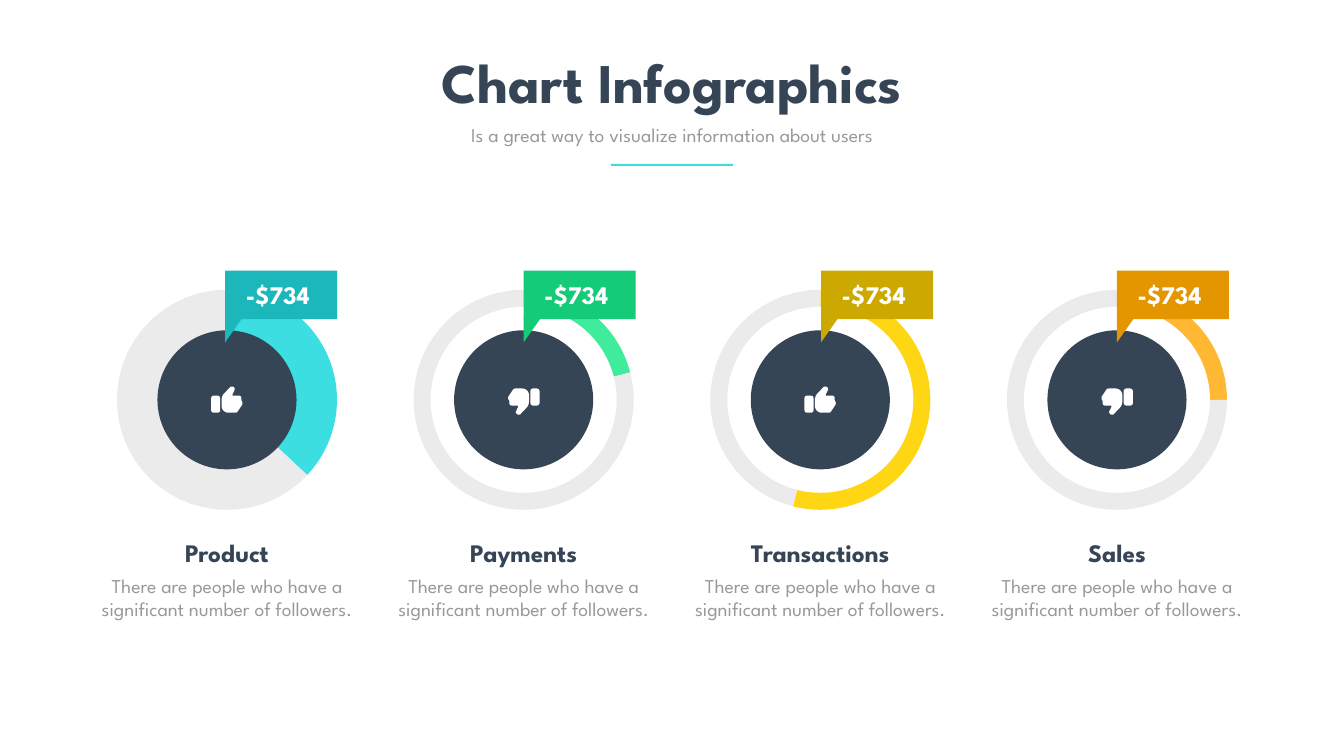
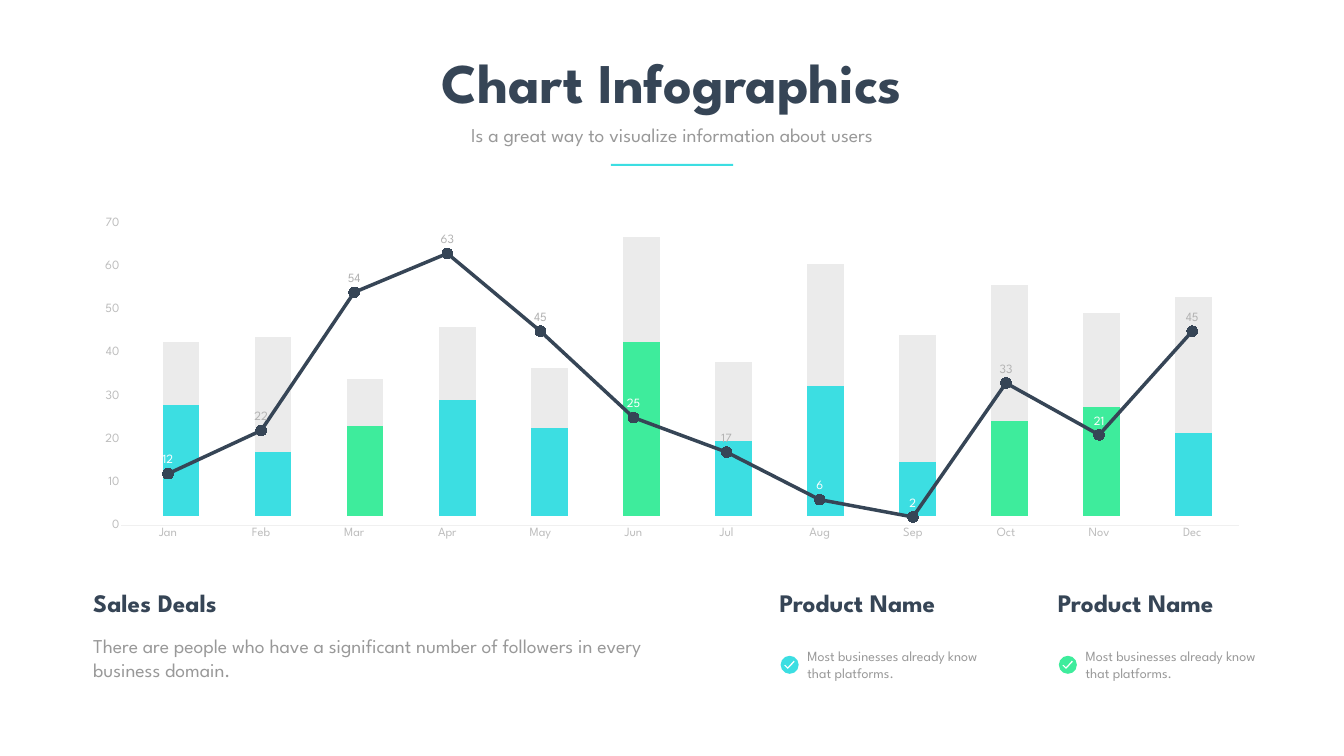
from dataclasses import dataclass

from lxml import etree
from pptx import Presentation
from pptx.chart.data import CategoryChartData
from pptx.dml.color import RGBColor
from pptx.enum.chart import XL_CHART_TYPE, XL_LABEL_POSITION, XL_MARKER_STYLE, XL_TICK_MARK
from pptx.enum.shapes import MSO_SHAPE
from pptx.enum.text import MSO_ANCHOR, MSO_AUTO_SIZE, PP_ALIGN
from pptx.oxml import parse_xml
from pptx.oxml.ns import nsdecls, qn
from pptx.util import Cm, Pt

PIE, LINE, STACK = XL_CHART_TYPE.PIE, XL_CHART_TYPE.LINE_MARKERS, XL_CHART_TYPE.COLUMN_STACKED
ABOVE, DOT, NO_TICK = XL_LABEL_POSITION.ABOVE, XL_MARKER_STYLE.CIRCLE, XL_TICK_MARK.NONE
OVAL, RECT = MSO_SHAPE.OVAL, MSO_SHAPE.RECTANGLE
ROUND, WEDGE = MSO_SHAPE.ROUNDED_RECTANGLE, MSO_SHAPE.RIGHT_TRIANGLE
TOP, MIDDLE = MSO_ANCHOR.TOP, MSO_ANCHOR.MIDDLE
LEFT, CENTER = PP_ALIGN.LEFT, PP_ALIGN.CENTER
NO_FIT = MSO_AUTO_SIZE.NONE


@dataclass(frozen=True)
class Theme:
    font: str = "League Spartan"
    pie_font: str = "Calibri"
    navy: str = "364556"
    gray: str = "999999"
    axis: str = "BDBDBD"
    label: str = "B2B2B2"
    grid: str = "F0F0F0"
    track: str = "EBEBEB"
    white: str = "FFFFFF"
    cyan: str = "3CDEE2"
    green: str = "3EEC9C"
    gold: str = "FED613"
    amber: str = "FEB833"
    deep_cyan: str = "1CB7BB"
    deep_green: str = "14CB77"
    deep_gold: str = "CCA901"
    deep_amber: str = "E49601"
    title: int = 80
    head: int = 36
    body: int = 28
    note: int = 20
    tick: int = 18
    tiny: int = 10


THEME = Theme()
HAND = [
    (0.75, 0.08), (0.72, 0.03), (0.72, -0.08),
    (0.72, -0.15, 0.67, -0.2, 0.6, -0.2), (0.29, -0.2), (0.27, -0.25), (0.37, -0.46),
    (0.39, -0.48, 0.39, -0.5, 0.39, -0.53), (0.39, -0.61, 0.32, -0.66, 0.24, -0.66),
    (0.19, -0.66), (-0.17, -0.28), (-0.24, -0.2, -0.27, -0.08, -0.27, 0.03),
    (-0.27, 0.33), (-0.27, 0.51, -0.11, 0.66, 0.06, 0.66), (0.42, 0.66),
    (0.47, 0.66, 0.52, 0.64, 0.55, 0.58), (0.75, 0.28),
    (0.79, 0.23, 0.79, 0.13, 0.75, 0.08),
]
TICK = [(0.36, 0.58), (0.23, 0.46), (0.18, 0.48), (0.36, 0.66), (0.71, 0.3), (0.66, 0.25)]


def rgb(code):
    return RGBColor.from_string(code)


def cms(*sizes):
    return [Cm(size) for size in sizes]


def flatten(parts, steps=6):
    points = []
    for part in parts:
        if len(part) == 2:
            points.append(part)
            continue
        curve = [points[-1], part[:2], part[2:4], part[4:]]
        for step in range(1, steps + 1):
            t = step / steps
            weights = ((1 - t) ** 3, 3 * t * (1 - t) ** 2, 3 * t * t * (1 - t), t ** 3)
            points.append(tuple(sum(w * p[k] for w, p in zip(weights, curve)) for k in (0, 1)))
    return points


class Deck:
    def __init__(self, theme):
        self.theme = theme
        self.show = Presentation()
        self.show.slide_width, self.show.slide_height = cms(67.73, 38.1)
        self.slide = None

    def style(self, font, size, color, bold=False, name=None):
        font.name = name or self.theme.font
        font.size = Pt(size)
        font.bold = bold
        font.color.rgb = rgb(color)

    def letter(self, shape, text, size, color, bold=False, align=LEFT, anchor=TOP):
        frame = shape.text_frame
        frame.text = text
        frame.word_wrap = True
        frame.auto_size = NO_FIT
        frame.vertical_anchor = anchor
        for para in frame.paragraphs:
            para.alignment = align
            para.space_before = Pt(0)
            for run in para.runs:
                self.style(run.font, size, color, bold)

    def begin(self, title, lead):
        t = self.theme
        self.slide = self.show.slides.add_slide(self.show.slide_layouts[0])
        heads = (
            (title, (17.48, 2.29, 32.79, 3.68), t.title, t.navy, True),
            (lead, (21.72, 6.05, 24.28, 1.45), t.body, t.gray, False),
        )
        for holder, (text, box, size, color, bold) in zip(self.slide.placeholders, heads):
            holder.left, holder.top, holder.width, holder.height = cms(*box)
            self.letter(holder, text, size, color, bold, CENTER)
        self.shape(RECT, (30.78, 8.26, 6.17, 0.1), t.cyan)

    def text(self, box, text, size, color, bold=False, align=LEFT):
        shape = self.slide.shapes.add_textbox(*cms(*box))
        self.letter(shape, text, size, color, bold, align)

    def paint(self, shape, color):
        shape.shadow.inherit = False
        shape.fill.solid()
        shape.fill.fore_color.rgb = rgb(color)
        shape.line.fill.background()
        return shape

    def shape(self, kind, box, color):
        return self.paint(self.slide.shapes.add_shape(kind, *cms(*box)), color)

    def disc(self, x, y, size, color):
        self.shape(OVAL, (x - size / 2, y - size / 2, size, size), color)

    def outline(self, x, y, points, color):
        spots = [cms(x + dx, y + dy) for dx, dy in points]
        form = self.slide.shapes.build_freeform(*spots[0])
        form.add_line_segments(spots[1:], close=True)
        self.paint(form.convert_to_shape(), color)

    def thumb(self, x, y, up):
        sign = 1 if up else -1
        white = self.theme.white
        self.outline(x, y, [(sign * dx, sign * dy) for dx, dy in flatten(HAND)], white)
        cuff = self.shape(ROUND, (x - sign * 0.57 - 0.23, y + sign * 0.23 - 0.43, 0.46, 0.86), white)
        cuff.adjustments[0] = 0.28

    def tag(self, x, text, color):
        flag = self.shape(RECT, (x, 13.64, 5.64, 2.44), color)
        self.letter(flag, text, self.theme.head, self.theme.white, True, CENTER, MIDDLE)
        self.shape(WEDGE, (x - 0.18, 16.21, 1.22, 0.86), color).rotation = 90

    def chart(self, kind, box, cats, rows, size, name=None):
        data = CategoryChartData()
        data.categories = cats
        for number, row in enumerate(rows, 1):
            data.add_series(f"Series {number}", row)
        chart = self.slide.shapes.add_chart(kind, *cms(*box), data).chart
        chart.has_title = False
        chart.has_legend = False
        self.style(chart.font, size, self.theme.gray, name=name)
        clear = f"<c:spPr {nsdecls('c', 'a')}><a:noFill/><a:ln><a:noFill/></a:ln></c:spPr>"
        chart.element.find(qn("c:chart")).addnext(parse_xml(clear))
        chart.element.xpath(".//c:plotArea")[0].append(parse_xml(clear))
        return chart

    def fill(self, part, color):
        part.format.fill.solid()
        part.format.fill.fore_color.rgb = rgb(color)
        part.format.line.fill.background()

    def pie(self, x, y, share, color):
        size = 11.2
        box = (x - size / 2, y - size / 2, size, size)
        chart = self.chart(PIE, box, ["1", "2"], [(share, 100 - share)],
                           self.theme.tiny, self.theme.pie_font)
        row = chart.plots[0].series[0]
        for index, shade in enumerate((color, self.theme.track)):
            self.fill(row.points[index], shade)
        area = chart.element.xpath(".//c:plotArea")[0]
        for old in area.findall(qn("c:layout")):
            area.remove(old)
        layout = etree.Element(qn("c:layout"))
        manual = etree.SubElement(layout, qn("c:manualLayout"))
        for key, value in (("layoutTarget", "inner"), ("xMode", "edge"), ("yMode", "edge"),
                           ("x", "0.005"), ("y", "0.005"), ("w", "0.99"), ("h", "0.99")):
            etree.SubElement(manual, qn(f"c:{key}")).set("val", value)
        area.insert(0, layout)

    def stack(self, box, rows, marked):
        t = self.theme
        cats = [str(n) for n in range(1, len(rows[0]) + 1)]
        chart = self.chart(STACK, box, cats, rows, t.note)
        chart.value_axis.has_major_gridlines = False
        chart.value_axis.minimum_scale = 0
        chart.value_axis.maximum_scale = 180
        chart.value_axis.visible = False
        chart.category_axis.visible = False
        plot = chart.plots[0]
        plot.gap_width, plot.overlap = 150, 100
        plot.vary_by_categories = False
        for row, color in zip(plot.series, (t.cyan, t.track)):
            self.fill(row, color)
        for index in marked:
            self.fill(plot.series[0].points[index], t.green)

    def trend(self, box, cats, values, light):
        t = self.theme
        chart = self.chart(LINE, box, cats, [values], t.tick)
        for axis in (chart.category_axis, chart.value_axis):
            axis.has_major_gridlines = False
            axis.major_tick_mark = axis.minor_tick_mark = NO_TICK
            self.style(axis.tick_labels.font, t.tick, t.axis)
        base = chart.category_axis.format.line
        base.color.rgb = rgb(t.grid)
        base.width = Pt(0.75)
        scale = chart.value_axis
        scale.format.line.fill.background()
        scale.minimum_scale, scale.maximum_scale, scale.major_unit = 0, 70, 10
        plot = chart.plots[0]
        plot.vary_by_categories = False
        row = plot.series[0]
        row.smooth = False
        row.format.line.color.rgb = rgb(t.navy)
        row.format.line.width = Pt(5)
        row.marker.style, row.marker.size = DOT, 15
        self.fill(row.marker, t.navy)
        labels = row.data_labels
        labels.show_value = True
        labels.position = ABOVE
        self.style(labels.font, t.tick, t.label)
        for index in light:
            label = row.points[index].data_label
            self.style(label.font, t.tick, t.white)
            label.position = ABOVE


def add_rings(deck):
    t = deck.theme
    y = 20.15
    rings = (
        ("Product", 37, t.cyan, t.deep_cyan, 11.35),
        ("Payments", 21, t.green, t.deep_green, 26.39),
        ("Transactions", 54, t.gold, t.deep_gold, 41.38),
        ("Sales", 25, t.amber, t.deep_amber, 56.29),
    )
    for index, (name, share, color, deep, tag_x) in enumerate(rings):
        x = 11.44 + 14.95 * index
        up = index % 2 == 0
        deck.pie(x, y, share, color)
        if index:
            deck.disc(x, y, 9.37, t.white)
        deck.disc(x, y, 7.01, t.navy)
        deck.thumb(x, 20.14 if up else 20.24, up)
        deck.tag(tag_x, "-$734 ", deep)
        deck.text((x - 9.84, 26.97, 19.68, 1.8), name, t.head, t.navy, True, CENTER)
        deck.text((x - 6.66, 28.78, 13.32, 3.84),
                  "There are people who have a significant number of followers.",
                  t.body, t.gray, align=CENTER)


def add_deals(deck):
    t = deck.theme
    deck.stack((5.64, 9.93, 57.99, 16.41), [
        (64, 37, 52, 67, 51, 100, 43, 75, 31, 55, 63, 48),
        (36, 66, 27, 42, 34, 61, 46, 70, 73, 78, 54, 78),
    ], (2, 5, 9, 10))
    months = "Jan Feb Mar Apr May Jun Jul Aug Sep Oct Nov Dec".split()
    deck.trend((4.11, 10.62, 59.51, 16.89), months,
               (12, 22, 54, 63, 45, 25, 17, 6, 2, 33, 21, 45), (0, 5, 7, 8, 10))
    deck.text((4.45, 29.46, 16, 1.8), "Sales Deals", t.head, t.navy, True)
    deck.text((4.45, 31.83, 30.23, 2.64),
              "There are people who have a significant number of followers in every business domain.",
              t.body, t.gray)
    for index, color in enumerate((t.cyan, t.green)):
        x = 39.04 + 14.02 * index
        deck.text((x, 29.46, 10.57, 1.8), "Product Name", t.head, t.navy, True)
        deck.shape(OVAL, (x + 0.3, 33.05, 0.91, 0.91), color)
        deck.outline(x + 0.3, 33.05, TICK, t.white)
        deck.text((x + 1.4, 32.51, 9.14, 1.96),
                  "Most businesses already know that platforms.", t.note, t.gray)


def main():
    deck = Deck(THEME)
    for build in (add_rings, add_deals):
        deck.begin("Chart Infographics", "Is a great way to visualize information about users")
        build(deck)
    deck.show.save("out.pptx")


if __name__ == "__main__":
    main()
